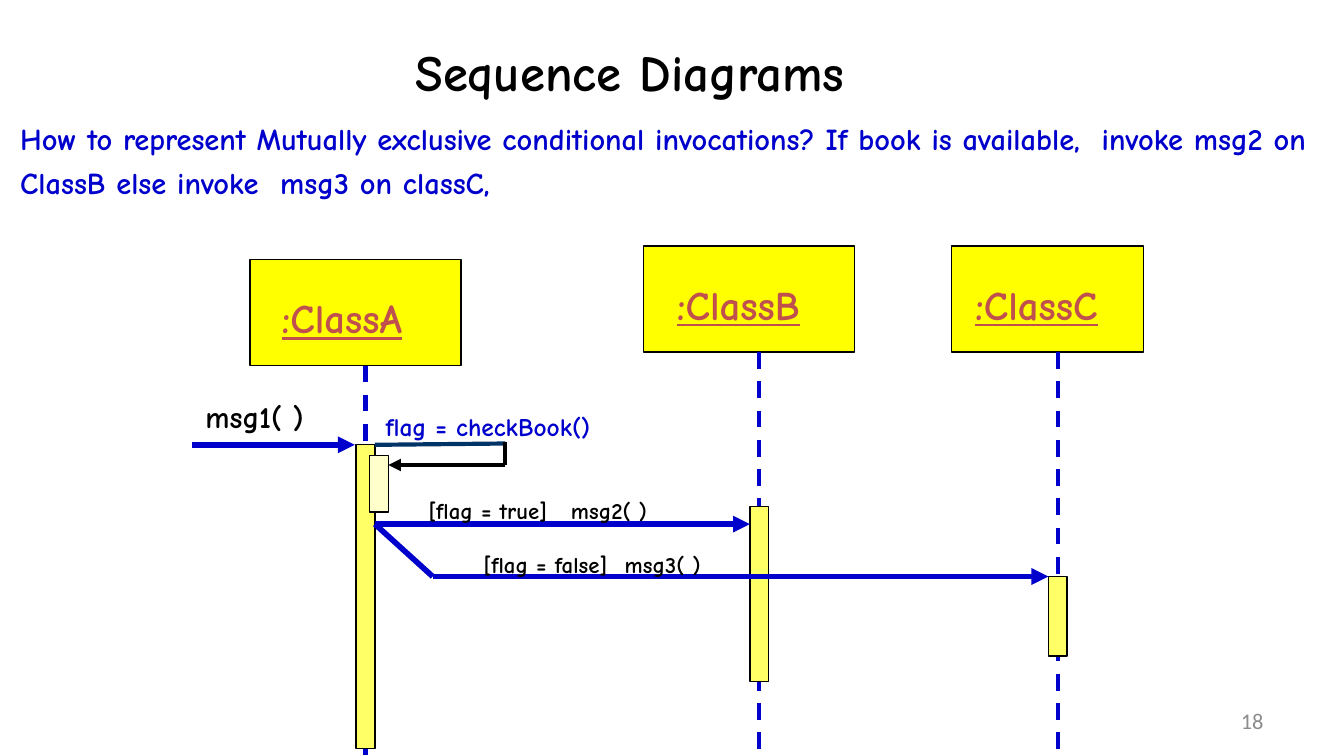
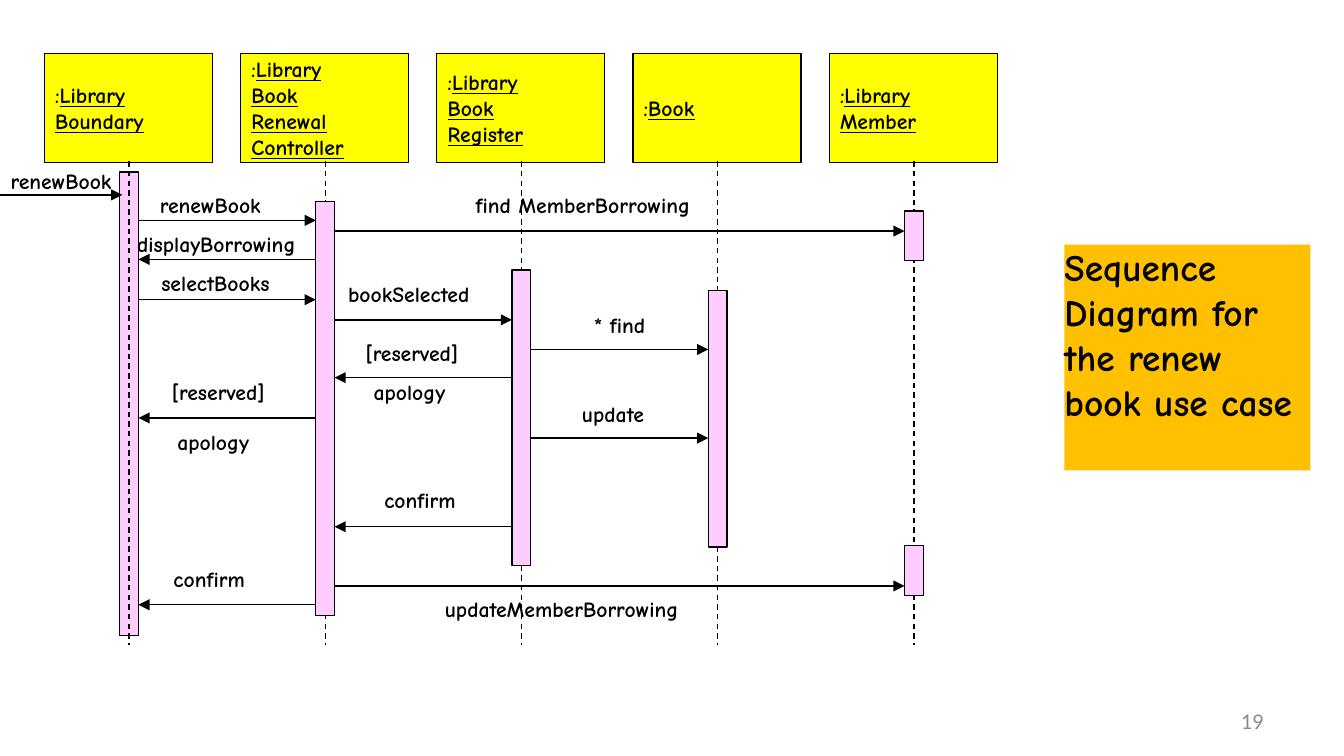
"""Build two slides of sequence diagrams: conditional calls and book renewal."""
import lxml.etree
import pptx
import pptx.dml.color
import pptx.enum.dml
import pptx.enum.shapes
import pptx.enum.text
import pptx.oxml.ns
import pptx.util

PX = 9144
WIDTH, FLOOR = 1000, 562
BLACK, BLUE, NAVY, RED, GREY = "000000", "0000CC", "003366", "C0504D", "8C8C8C"
YELLOW, LEMON, CREAM, PINK, AMBER = "FFFF00", "FFFF66", "FFFFCC", "FFCCFF", "FFC000"
LEFT = pptx.enum.text.PP_ALIGN.LEFT
RIGHT = pptx.enum.text.PP_ALIGN.RIGHT
TOP = pptx.enum.text.MSO_ANCHOR.TOP
MIDDLE = pptx.enum.text.MSO_ANCHOR.MIDDLE
TIGHT = (0, 0, 0, 0)
SNUG = (7, 4, 7, 4)


def px(length):
    return pptx.util.Emu(length * PX)


def rgb(color):
    return pptx.dml.color.RGBColor.from_string(color)


def write(frame, text, size=11.6, color=BLACK, font="Comic Neue", bold=True,
          underline=False, lead="", align=LEFT, anchor=TOP,
          inset=(10, 5, 10, 5), spacing=None):
    frame.word_wrap = True
    frame.auto_size = pptx.enum.text.MSO_AUTO_SIZE.NONE
    frame.vertical_anchor = anchor
    (frame.margin_left, frame.margin_top,
     frame.margin_right, frame.margin_bottom) = map(px, inset)
    for index, line in enumerate(text.split("\n")):
        paragraph = frame.add_paragraph() if index else frame.paragraphs[0]
        paragraph.alignment = align
        paragraph.space_before = pptx.util.Pt(0)
        if spacing:
            paragraph.line_spacing = spacing
        pieces = [(line, underline)]
        if lead and not index:
            pieces.insert(0, (lead, False))
        for words, underlined in pieces:
            run = paragraph.add_run()
            run.text = words
            run.font.name = font
            run.font.size = pptx.util.Pt(size)
            run.font.bold = bold
            run.font.underline = underlined
            run.font.color.rgb = rgb(color)


class Diagram:
    def __init__(self, deck, layout, line_color, line_width):
        self.slide = deck.slides.add_slide(deck.slide_layouts[layout])
        self.line_color = line_color
        self.line_width = line_width

    def place(self, holder, box, text, **style):
        holder.left, holder.top, holder.width, holder.height = map(px, box)
        write(holder.text_frame, text, **style)
        return holder

    def title(self, box, text, **style):
        return self.place(self.slide.shapes.title, box, text, **style)

    def body(self, box, text, **style):
        question = self.place(self.slide.placeholders[1], box, text, **style)
        for properties in question.element.iter(pptx.oxml.ns.qn("a:pPr")):
            properties.set("marL", "0")
            properties.set("indent", "0")
            lxml.etree.SubElement(properties, pptx.oxml.ns.qn("a:buNone"))

    def label(self, x, y, width, height, text, tab=None, **style):
        holder = self.slide.shapes.add_textbox(*map(px, (x, y, width, height)))
        write(holder.text_frame, text, **style)
        if tab:
            for properties in holder.element.iter(pptx.oxml.ns.qn("a:pPr")):
                stops = lxml.etree.SubElement(
                    properties, pptx.oxml.ns.qn("a:tabLst"))
                lxml.etree.SubElement(stops, pptx.oxml.ns.qn("a:tab"),
                                      pos=str(px(tab)), algn="l")

    def box(self, x, y, width, height, fill):
        shape = self.slide.shapes.add_shape(
            pptx.enum.shapes.MSO_SHAPE.RECTANGLE, *map(px, (x, y, width, height)))
        shape.shadow.inherit = False
        shape.fill.solid()
        shape.fill.fore_color.rgb = rgb(fill)
        shape.line.color.rgb = rgb(BLACK)
        shape.line.width = pptx.util.Pt(0.75)
        return shape

    def activation(self, center, top, bottom, fill):
        self.box(center - 7, top, 14, bottom - top, fill)

    def line(self, x1, y1, x2, y2, color=None, width=None, dash=False, arrow=False):
        link = self.slide.shapes.add_connector(
            pptx.enum.shapes.MSO_CONNECTOR.STRAIGHT, *map(px, (x1, y1, x2, y2)))
        link.line.color.rgb = rgb(color or self.line_color)
        link.line.width = pptx.util.Pt(width or self.line_width)
        if dash:
            link.line.dash_style = pptx.enum.dml.MSO_LINE.DASH
        properties = link.element.spPr
        if arrow:
            outline = properties.find(pptx.oxml.ns.qn("a:ln"))
            lxml.etree.SubElement(
                outline, pptx.oxml.ns.qn("a:tailEnd"), type="triangle")
        lxml.etree.SubElement(properties, pptx.oxml.ns.qn("a:effectLst"))

    def page_number(self, number):
        self.label(717, 521, 233, 30, str(number), size=12, color=GREY,
                   font="Calibri", bold=False, align=RIGHT, anchor=MIDDLE)


def conditional_calls(deck):
    diagram = Diagram(deck, 1, BLUE, 3)
    diagram.title((302, 26, 481, 53), "Sequence Diagrams", size=27.2, inset=SNUG)
    diagram.body(
        (8, 80, 992, 74),
        "How to represent Mutually exclusive conditional invocations? "
        "If book is available,  invoke msg2 on ClassB else invoke  msg3 on classC,",
        size=16.3, color=BLUE, inset=SNUG, spacing=1.2)

    class_a, class_b, class_c = 272, 565, 787
    participants = [
        (":ClassA", class_a, 186, 193, 157, 200, 143),
        (":ClassB", class_b, 479, 183, 157, 494, 136),
        (":ClassC", class_c, 708, 183, 143, 716, 136),
    ]
    for name, center, left, top, width, name_left, name_width in participants:
        diagram.box(left, top, width, 79, YELLOW)
        diagram.line(center, top + 79, center, FLOOR, width=2.25, dash=True)
        diagram.label(name_left, top + 20, name_width, 47, name,
                      size=21.8, color=RED, underline=True)
    for center, top, bottom in [(class_a, 331, 557), (class_b, 377, 507),
                                (class_c, 429, 488)]:
        diagram.activation(center, top, bottom, LEMON)

    diagram.line(143, 331, 264, 331, arrow=True)
    diagram.label(143, 291, 115, 38, "msg1( )", size=16.3)
    diagram.line(279, 390, 558, 390, arrow=True)
    diagram.line(279, 390, 322, 429)
    diagram.line(322, 429, 780, 429, arrow=True)
    diagram.label(309, 365, 221, 31, "[flag = true]\tmsg2( )", tab=106, size=12.2)
    diagram.label(350, 405, 215, 31, "[flag = false]\tmsg3( )", tab=105, size=12.2)

    diagram.line(279, 331, 376, 330, color=NAVY, width=2.25)
    diagram.line(376, 329, 376, 346, color=BLACK, width=2.25)
    diagram.line(376, 346, 289, 346, color=BLACK, width=2.25, arrow=True)
    diagram.box(275, 339, 14, 42, CREAM)
    diagram.label(277, 301, 192, 33, "flag = checkBook()", size=13.6, color=BLUE)
    diagram.page_number(18)


def book_renewal(deck):
    diagram = Diagram(deck, 5, BLACK, 0.75)
    caption = diagram.title((792, 182, 183, 168),
                            "Sequence Diagram for the renew book use case",
                            size=20, inset=TIGHT)
    caption.fill.solid()
    caption.fill.fore_color.rgb = rgb(AMBER)

    participants = ["Library\nBoundary", "Library\nBook\nRenewal\nController",
                    "Library\nBook\nRegister", "Book", "Library\nMember"]
    centers = [96 + 146 * column for column in range(len(participants))]
    boundary, controller, register, book, member = centers
    for name, center in zip(participants, centers):
        header = diagram.box(center - 63, 40, 125, 81, YELLOW)
        write(header.text_frame, name, lead=":", underline=True,
              anchor=MIDDLE, inset=(8, 4, 8, 4))

    diagram.activation(boundary, 128, 473, PINK)
    for center in centers:
        diagram.line(center, 120, center, 480, dash=True)
    for center, top, bottom in [(controller, 150, 458), (register, 201, 421),
                                (book, 216, 407), (member, 157, 194),
                                (member, 406, 443)]:
        diagram.activation(center, top, bottom, PINK)

    calls = [
        (boundary, controller, 164), (controller, boundary, 193),
        (boundary, controller, 223), (controller, boundary, 311),
        (controller, boundary, 450), (controller, member, 172),
        (controller, register, 238), (register, book, 260),
        (register, controller, 281), (register, book, 326),
        (register, controller, 392), (controller, member, 436),
    ]
    for sender, receiver, y in calls:
        edge = 7 if receiver > sender else -7
        diagram.line(sender + edge, y, receiver - edge, y, arrow=True)
    diagram.line(0, 145, 91, 145, arrow=True)

    messages = [
        ("renewBook", 8, 125, 82), ("renewBook", 119, 143, 82),
        ("displayBorrowing", 102, 172, 128), ("selectBooks", 120, 201, 91),
        ("[reserved]", 128, 282, 80), ("apology", 132, 319, 57),
        ("confirm", 129, 421, 59), ("find MemberBorrowing", 354, 143, 176),
        ("bookSelected", 259, 209, 104), ("* find", 442, 232, 46),
        ("update", 433, 298, 52), ("[reserved]", 272, 253, 80),
        ("apology", 278, 282, 57), ("confirm", 286, 362, 60),
        ("updateMemberBorrowing", 331, 443, 190),
    ]
    for message, left, top, width in messages:
        diagram.label(left, top, width, 19, message, inset=TIGHT)
    diagram.page_number(19)


def main():
    deck = pptx.Presentation()
    deck.slide_width = px(WIDTH)
    deck.slide_height = pptx.util.Emu(px(WIDTH) * 9 // 16)
    conditional_calls(deck)
    book_renewal(deck)
    deck.save("out.pptx")


if __name__ == "__main__":
    main()
